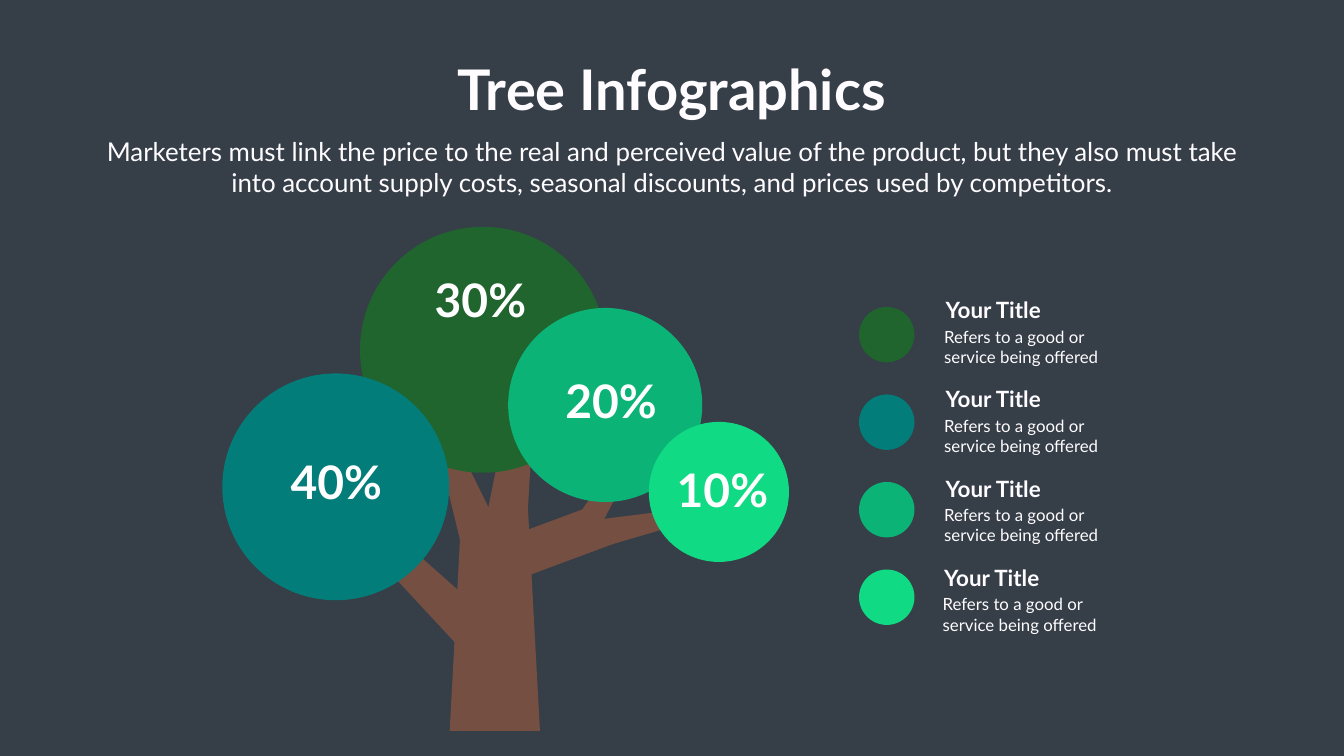
from dataclasses import dataclass

from pptx import Presentation
from pptx.dml.color import RGBColor
from pptx.enum.shapes import MSO_SHAPE
from pptx.enum.text import MSO_AUTO_SIZE, PP_ALIGN
from pptx.util import Inches, Pt

OVAL = MSO_SHAPE.OVAL
LEFT, CENTER = PP_ALIGN.LEFT, PP_ALIGN.CENTER
GROW = MSO_AUTO_SIZE.SHAPE_TO_FIT_TEXT


@dataclass(frozen=True)
class Theme:
    font: str = "Lato"
    background: str = "363E48"
    text: str = "FEFCFF"
    share_text: str = "FFFFFF"
    wood: str = "755042"
    forest: str = "20642E"
    teal: str = "027D79"
    green: str = "0BB377"
    mint: str = "10DA83"
    title_size: int = 80
    share_size: int = 66
    intro_size: int = 37
    heading_size: int = 32
    body_size: int = 24


theme = Theme()
deck = Presentation()
deck.slide_width, deck.slide_height = Inches(26.66), Inches(15)
COLS, ROWS = 26.66, 15
COL, ROW = deck.slide_width / COLS, deck.slide_height / ROWS
slide = deck.slides.add_slide(deck.slide_layouts[6])
slide.background.fill.solid()
slide.background.fill.fore_color.rgb = RGBColor.from_string(theme.background)


def paint(shape, color):
    shape.shadow.inherit = False
    shape.fill.solid()
    shape.fill.fore_color.rgb = RGBColor.from_string(color)
    shape.line.fill.background()


def add_label(lines, col, row, cols, rows, size, color=theme.text,
              bold=False, align=LEFT, wrap=True):
    box = slide.shapes.add_textbox(
        round(col * COL), round(row * ROW), round(cols * COL), round(rows * ROW))
    frame = box.text_frame
    frame.word_wrap = wrap
    frame.auto_size = GROW
    frame.text = "\n".join(lines)
    for paragraph in frame.paragraphs:
        paragraph.alignment = align
        paragraph.font.name = theme.font
        paragraph.font.size = Pt(size)
        paragraph.font.bold = bold
        paragraph.font.color.rgb = RGBColor.from_string(color)


# Trunk first, then limbs and twigs: corners in columns and rows
wood_parts = [
    [(9.16, 10.05), (8.92, 14.5), (10.71, 14.5), (10.47, 10.05)],
    [(12.17, 10.79), (10.07, 11.57), (9.77, 10.77), (11.87, 9.99)],
    [(10.57, 8.38), (10.44, 10.66), (9.59, 10.55), (10.04, 8.32)],
    [(8.64, 8.71), (9.19, 10.98), (9.99, 10.68), (8.96, 8.58)],
    [(12.59, 9.14), (11.99, 10.29), (11.46, 10.24), (12.34, 8.97)],
    [(13.06, 10.16), (11.55, 10.35), (11.69, 10.93), (13.2, 10.49)],
    [(7.69, 11.31), (9.22, 12.96), (9.81, 12.35), (8.13, 10.86)],
    [(7.47, 9.75), (8.27, 10.99), (7.69, 11.31), (7.22, 9.84)],
    [(14.02, 9.01), (12.94, 10.17), (13.2, 10.49), (14.11, 9.1)],
]
for corners in wood_parts:
    start, *rest = [(col * COL, row * ROW) for col, row in corners]
    outline = slide.shapes.build_freeform(*start)
    outline.add_line_segments(rest, close=True)
    paint(outline.convert_to_shape(), theme.wood)

# Crowns and legend dots: left column, top row, diameter, colour
crowns = [
    (7.14, 4.5, 4.88, theme.forest),
    (10.08, 6.11, 3.85, theme.green),
    (4.41, 7.41, 4.5, theme.teal),
    (12.87, 8.37, 2.78, theme.mint),
]
legend_colors = [theme.forest, theme.teal, theme.green, theme.mint]
DOT_PITCH = (11.3 - 6.09) / 3
legend_dots = [(17.04, 6.09 + i * DOT_PITCH, 1.1, color)
               for i, color in enumerate(legend_colors)]
for col, row, diameter, color in crowns + legend_dots:
    disc = slide.shapes.add_shape(
        OVAL, round(col * COL), round(row * ROW),
        round(diameter * COL), round(diameter * ROW))
    paint(disc, color)

# Title and introduction, centred on the slide
add_label(["Tree Infographics"], COLS / 3, 1.03, COLS / 3, 1.45,
          theme.title_size, bold=True, align=CENTER, wrap=False)
add_label(["Marketers must link the price to the real and perceived value of "
           "the product, but they also must take into account supply costs, "
           "seasonal discounts, and prices used by competitors."],
          1.84, 2.64, COLS - 2 * 1.84, 1.35, theme.intro_size, align=CENTER)

# Shares on the crowns
for share, col, row in [("40%", 5.55, 8.95), ("30%", 8.41, 5.33),
                        ("20%", 11, 7.33), ("10%", 13.21, 9.11)]:
    add_label([share], col, row, 2.24, 1.21, theme.share_size,
              theme.share_text, bold=True, align=CENTER)

# Legend texts: the last entry sits slightly further left
ENTRY_PITCH = 1.77
for i, col in enumerate([18.66, 18.66, 18.66, 18.63]):
    row = 5.83 + i * ENTRY_PITCH
    add_label(["Your Title"], col, row, 2.2, 0.64, theme.heading_size, bold=True)
    add_label(["Refers to a good or", "service being offered"],
              col - 0.03, row + 0.6, 3.36, 0.91, theme.body_size)

deck.save("out.pptx")
